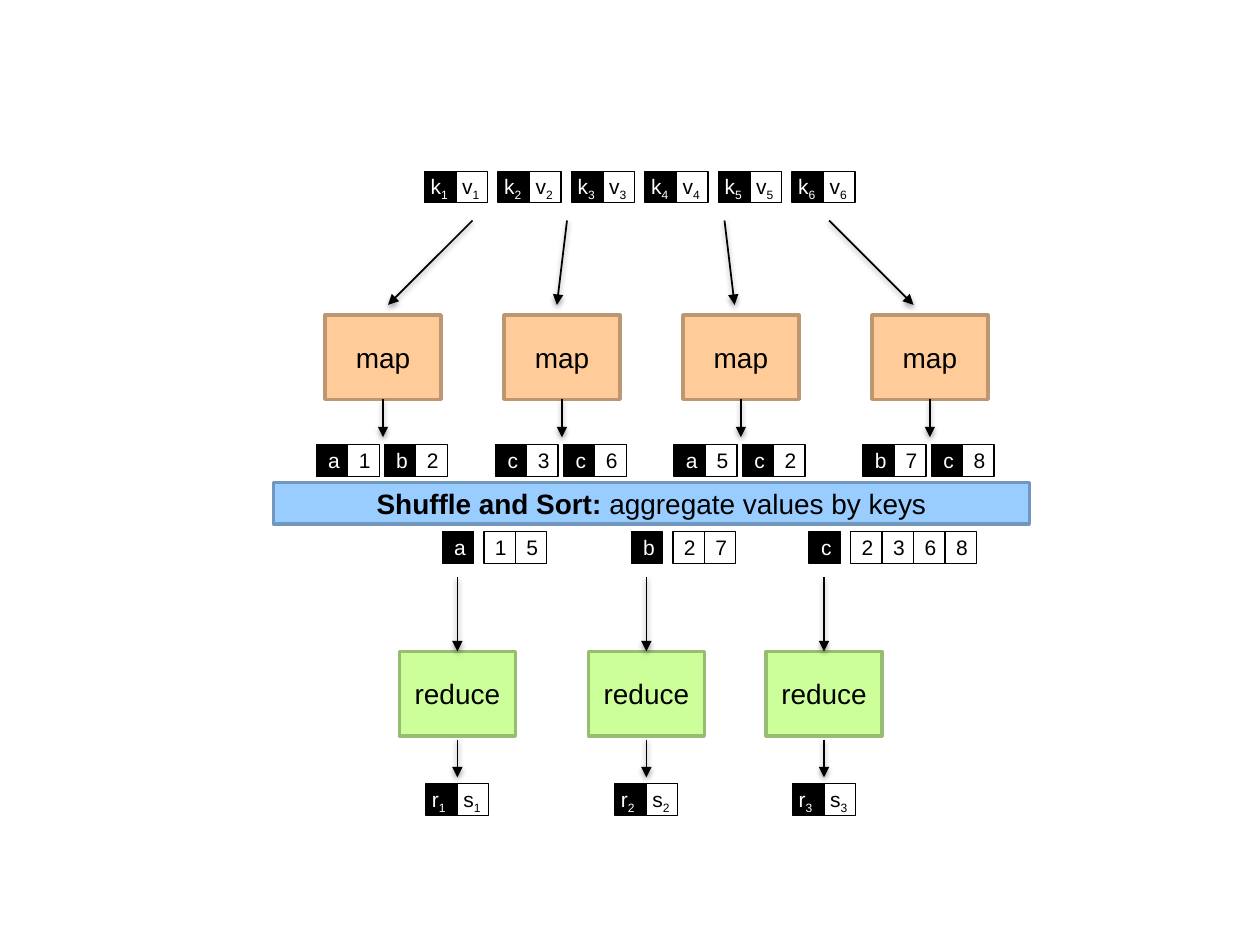
"""Build a MapReduce data-flow slide: map, shuffle and sort, reduce."""
from dataclasses import dataclass

from lxml.etree import SubElement
from pptx import Presentation
from pptx.dml.color import RGBColor
from pptx.enum.shapes import MSO_CONNECTOR, MSO_SHAPE
from pptx.enum.text import MSO_ANCHOR, MSO_AUTO_SIZE, PP_ALIGN
from pptx.oxml.ns import qn
from pptx.shapes.autoshape import Shape
from pptx.shapes.connector import Connector
from pptx.slide import Slide
from pptx.text.text import _Paragraph
from pptx.util import Inches, Pt


@dataclass(frozen=True)
class Theme:
    font: str = "Arial"
    black: RGBColor = RGBColor(0, 0, 0)
    white: RGBColor = RGBColor(255, 255, 255)
    map_fill: RGBColor = RGBColor(0xFF, 0xCC, 0x99)
    map_line: RGBColor = RGBColor(0xBD, 0x97, 0x71)
    shuffle_fill: RGBColor = RGBColor(0x99, 0xCC, 0xFF)
    shuffle_line: RGBColor = RGBColor(0x71, 0x97, 0xBD)
    reduce_fill: RGBColor = RGBColor(0xCC, 0xFF, 0x99)
    reduce_line: RGBColor = RGBColor(0x97, 0xBD, 0x71)
    box_size: Pt = Pt(16)
    cell_size: Pt = Pt(12)


@dataclass(frozen=True)
class Cell:
    left: float
    letter: str
    subscript: str = ""
    is_key: bool = False


@dataclass(frozen=True)
class Mapper:
    left: float
    source_x: float
    target_x: float
    pairs: tuple[str, str]


@dataclass(frozen=True)
class Reducer:
    left: float
    key: str
    values: str


THEME = Theme()
CELL = 0.25
PAIR_STEP = 0.54
INPUT_STEP = 7 / 12
BOX_WIDTH, BOX_HEIGHT = 0.92, 0.67
MAP_TOP, REDUCE_TOP = 2.5, 5.17
MAPPERS = (
    Mapper(2.58, 3.75, 3.08, ("a1", "b2")),
    Mapper(4.0, 4.5, 4.42, ("c3", "c6")),
    Mapper(5.42, 5.75, 5.83, ("a5", "c2")),
    Mapper(6.92, 6.58, 7.25, ("b7", "c8")),
)
REDUCERS = (Reducer(3.17, "a", "15"), Reducer(4.67, "b", "27"), Reducer(6.08, "c", "2368"))


def style_text(paragraph: _Paragraph, size: Pt, color: RGBColor) -> None:
    paragraph.font.name = THEME.font
    paragraph.font.size = size
    paragraph.font.color.rgb = color


def add_box(slide: Slide, left: float, top: float, width: float, height: float,
            fill: RGBColor, line: RGBColor, text: str, bold_text: str = "") -> Shape:
    box = slide.shapes.add_shape(
        MSO_SHAPE.RECTANGLE, Inches(left), Inches(top), Inches(width), Inches(height))
    box.shadow.inherit = False
    box.fill.solid()
    box.fill.fore_color.rgb = fill
    box.line.color.rgb = line
    box.line.width = Pt(2)
    frame = box.text_frame
    frame.word_wrap = True
    frame.margin_left = frame.margin_right = 0
    frame.vertical_anchor = MSO_ANCHOR.MIDDLE
    paragraph = frame.paragraphs[0]
    paragraph.alignment = PP_ALIGN.CENTER
    style_text(paragraph, THEME.box_size, THEME.black)
    if bold_text:
        run = paragraph.add_run()
        run.text = bold_text
        run.font.bold = True
    paragraph.add_run().text = text
    return box


def add_arrow(slide: Slide, x1: float, y1: float, x2: float, y2: float) -> Connector:
    arrow = slide.shapes.add_connector(
        MSO_CONNECTOR.STRAIGHT, Inches(x1), Inches(y1), Inches(x2), Inches(y2))
    arrow.line.color.rgb = THEME.black
    arrow.line.width = Pt(1)
    SubElement(arrow.line._get_or_add_ln(), qn("a:tailEnd"), type="triangle")
    effects = SubElement(arrow._element.spPr, qn("a:effectLst"))
    shadow = SubElement(effects, qn("a:outerShdw"), blurRad="40000", dist="20000",
                        dir="5400000", rotWithShape="0")
    color = SubElement(shadow, qn("a:srgbClr"), val="000000")
    SubElement(color, qn("a:alpha"), val="38000")
    return arrow


def add_cells(slide: Slide, top: float, cells: list[Cell]) -> None:
    group = slide.shapes.add_group_shape()
    for cell in cells:
        square = group.shapes.add_shape(
            MSO_SHAPE.RECTANGLE, Inches(cell.left), Inches(top), Inches(CELL), Inches(CELL))
        square.shadow.inherit = False
        square.line.color.rgb = THEME.black
        square.line.width = Pt(0.75)
        if cell.is_key:
            square.fill.solid()
            square.fill.fore_color.rgb = THEME.black
        else:
            square.fill.background()

        offset, width = (0.05, 0.35) if cell.subscript else (0.01, 0.3)
        label = group.shapes.add_textbox(
            Inches(cell.left - offset), Inches(top - 0.03), Inches(width), Inches(0.3))
        label.text_frame.word_wrap = False
        label.text_frame.auto_size = MSO_AUTO_SIZE.SHAPE_TO_FIT_TEXT
        paragraph = label.text_frame.paragraphs[0]
        style_text(paragraph, THEME.cell_size, THEME.white if cell.is_key else THEME.black)
        paragraph.add_run().text = cell.letter
        if cell.subscript:
            run = paragraph.add_run()
            run.text = cell.subscript
            run.font._element.set("baseline", "-25000")
        elif cell.is_key:
            paragraph.alignment = PP_ALIGN.CENTER


def key_value(left: float, key: str, value: str, subscript: str = "") -> list[Cell]:
    return [Cell(left, key, subscript, True), Cell(left + CELL, value, subscript)]


def add_mapper(slide: Slide, mapper: Mapper) -> None:
    add_arrow(slide, mapper.source_x, 1.75, mapper.target_x, 2.42)
    box = add_box(slide, mapper.left, MAP_TOP, BOX_WIDTH, BOX_HEIGHT,
                  THEME.map_fill, THEME.map_line, "map")
    center = mapper.left + BOX_WIDTH / 2
    add_arrow(slide, center, MAP_TOP + BOX_HEIGHT, center, 3.47).begin_connect(box, 2)
    cells = []
    for index, (key, value) in enumerate(mapper.pairs):
        cells += key_value(mapper.left - 0.07 + index * PAIR_STEP, key, value)
    add_cells(slide, 3.53, cells)


def add_reducer(slide: Slide, reducer: Reducer, number: int) -> None:
    box = add_box(slide, reducer.left, REDUCE_TOP, BOX_WIDTH, BOX_HEIGHT,
                  THEME.reduce_fill, THEME.reduce_line, "reduce")
    center = reducer.left + BOX_WIDTH / 2
    add_arrow(slide, center, 4.58, center, REDUCE_TOP).end_connect(box, 0)
    add_arrow(slide, center, 5.87, center, 6.17)
    key_left = reducer.left + 0.34
    values = [Cell(key_left + 0.33 + index * CELL, value)
              for index, value in enumerate(reducer.values)]
    add_cells(slide, 4.22, [Cell(key_left, reducer.key, is_key=True), *values])
    add_cells(slide, 6.22, key_value(reducer.left + 0.21, "r", "s", str(number)))


def main() -> None:
    presentation = Presentation()
    presentation.slide_width = Inches(10)
    presentation.slide_height = Inches(7.5)
    slide = presentation.slides.add_slide(presentation.slide_layouts[6])

    inputs = []
    for index in range(6):
        inputs += key_value(3.37 + index * INPUT_STEP, "k", "v", str(index + 1))
    add_cells(slide, 1.36, inputs)
    for mapper in MAPPERS:
        add_mapper(slide, mapper)
    add_box(slide, 2.17, 3.83, 6, 0.33, THEME.shuffle_fill, THEME.shuffle_line,
            " aggregate values by keys", "Shuffle and Sort:")
    for number, reducer in enumerate(REDUCERS, start=1):
        add_reducer(slide, reducer, number)
    presentation.save("out.pptx")


if __name__ == "__main__":
    main()
